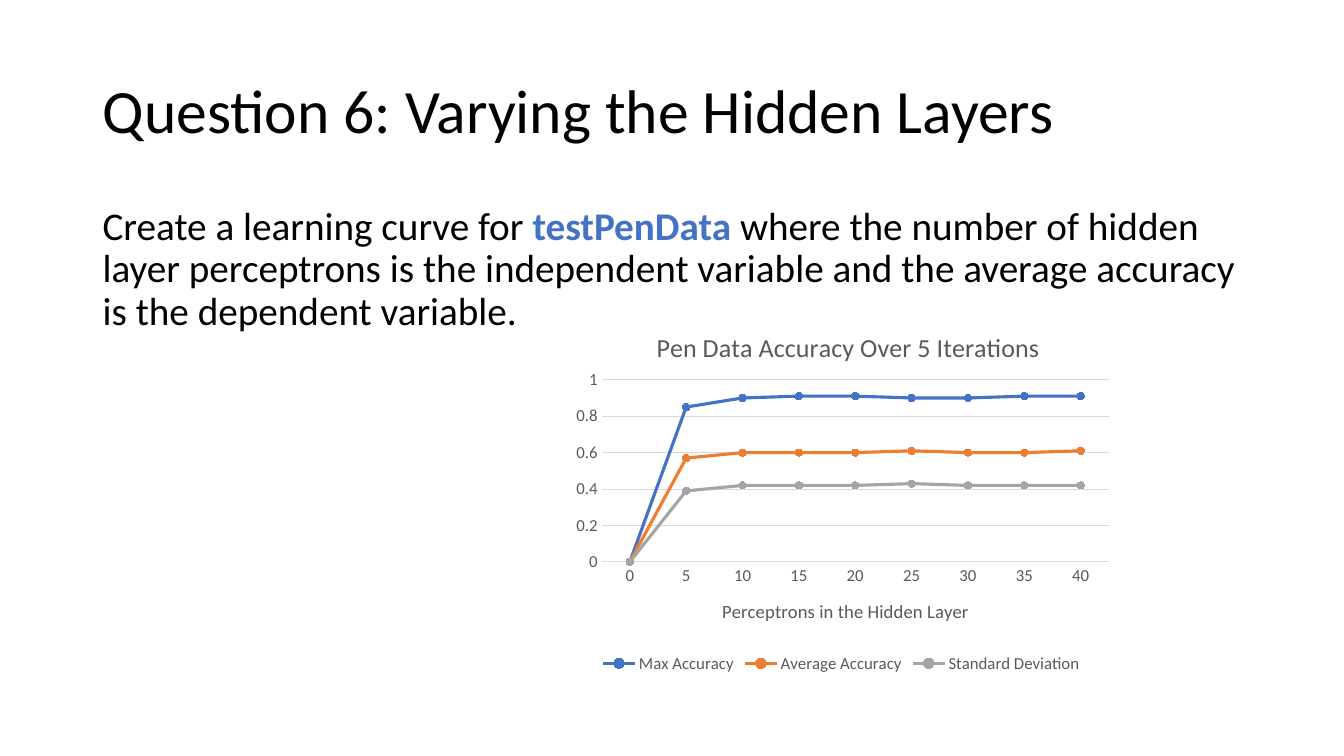
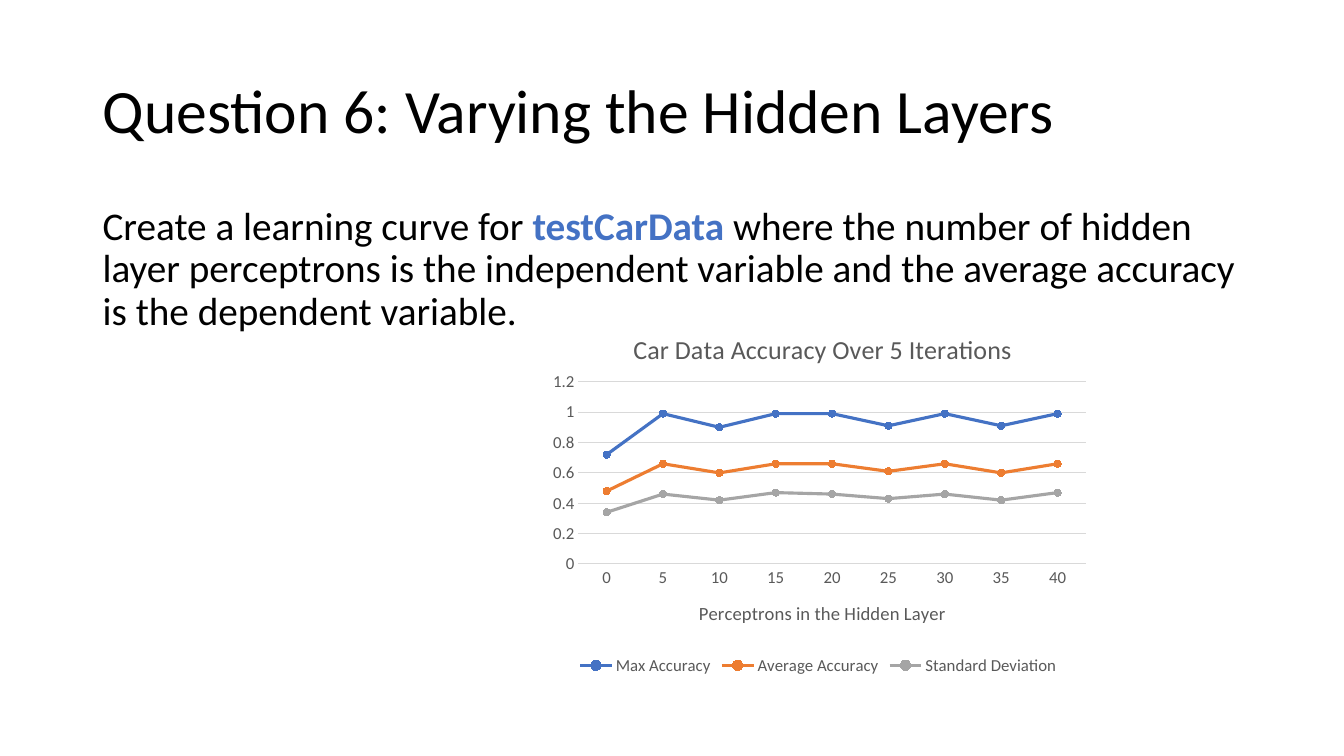
from lxml.etree import SubElement
from pptx import Presentation
from pptx.chart.data import CategoryChartData
from pptx.dml.color import RGBColor
from pptx.enum.chart import XL_CHART_TYPE, XL_LEGEND_POSITION, XL_MARKER_STYLE, XL_TICK_MARK
from pptx.enum.text import MSO_ANCHOR, MSO_AUTO_SIZE, PP_ALIGN
from pptx.oxml import parse_xml
from pptx.oxml.ns import nsdecls, qn
from pptx.util import Inches, Pt

BLACK = RGBColor(0x00, 0x00, 0x00)
BLUE = RGBColor(0x44, 0x72, 0xC4)
ORANGE = RGBColor(0xED, 0x7D, 0x31)
GRAY = RGBColor(0xA5, 0xA5, 0xA5)
CHART_TEXT = RGBColor(0x59, 0x59, 0x59)
GRID = RGBColor(0xD9, 0xD9, 0xD9)
FONT = "Calibri"

PERCEPTRONS = [str(count) for count in range(0, 41, 5)]
SERIES_COLORS = {"Max Accuracy": BLUE, "Average Accuracy": ORANGE, "Standard Deviation": GRAY}

QUESTIONS = [
    {
        "data_set": "Pen",
        "position": (5.58, 3.03),
        "maximum": 1,
        "values": [
            [0, 0.85, 0.9, 0.91, 0.91, 0.9, 0.9, 0.91, 0.91],
            [0, 0.57, 0.6, 0.6, 0.6, 0.61, 0.6, 0.6, 0.61],
            [0, 0.39, 0.42, 0.42, 0.42, 0.43, 0.42, 0.42, 0.42],
        ],
    },
    {
        "data_set": "Car",
        "position": (5.35, 3.05),
        "maximum": 1.2,
        "values": [
            [0.72, 0.99, 0.9, 0.99, 0.99, 0.91, 0.99, 0.91, 0.99],
            [0.48, 0.66, 0.6, 0.66, 0.66, 0.61, 0.66, 0.6, 0.66],
            [0.34, 0.46, 0.42, 0.47, 0.46, 0.43, 0.46, 0.42, 0.47],
        ],
    },
]


def set_layout(element, index, **values):
    """Place a chart part by fractions of the chart; index is its layout's place among the children."""
    for old_layout in element.findall(qn("c:layout")):
        element.remove(old_layout)
    layout = parse_xml(f"<c:layout {nsdecls('c')}><c:manualLayout/></c:layout>")
    for name, value in values.items():
        SubElement(layout[0], qn(f"c:{name}"), val=str(value))
    element.insert(index, layout)


class Deck:
    """Holds the shared style and the current slide."""

    def __init__(self):
        self.presentation = Presentation()
        self.presentation.slide_width = Inches(13.33)
        self.presentation.slide_height = Inches(7.5)
        self.slide = None

    def style_font(self, font, size, color=BLACK, bold=False):
        for name, value in {"name": FONT, "size": Pt(size), "bold": bold}.items():
            setattr(font, name, value)
        font.color.rgb = color

    def format_text(self, shape, top, anchor, space_before):
        box = {"left": 0.92, "top": top, "width": 11.5, "height": 1.45}
        for name, value in box.items():
            setattr(shape, name, Inches(value))
        frame = {"word_wrap": True, "auto_size": MSO_AUTO_SIZE.NONE, "vertical_anchor": anchor}
        for name, value in frame.items():
            setattr(shape.text_frame, name, value)
        paragraph = shape.text_frame.paragraphs[0]
        spacing = {"alignment": PP_ALIGN.LEFT, "line_spacing": 0.9, "space_before": Pt(space_before)}
        for name, value in spacing.items():
            setattr(paragraph, name, value)
        return paragraph

    def add_slide(self, title):
        self.slide = self.presentation.slides.add_slide(self.presentation.slide_layouts[5])
        paragraph = self.format_text(self.slide.shapes.title, 0.4, MSO_ANCHOR.MIDDLE, 0)
        run = paragraph.add_run()
        run.text = title
        self.style_font(run.font, 44)

    def add_body(self, pieces):
        """Add one paragraph from (text, color, bold) pieces."""
        shape = self.slide.shapes.add_textbox(0, 0, 0, 0)
        paragraph = self.format_text(shape, 2, MSO_ANCHOR.TOP, 10)
        for text, color, bold in pieces:
            run = paragraph.add_run()
            run.text = text
            self.style_font(run.font, 28, color, bold)

    def add_chart_title(self, title, text, size, x, y):
        run = title.text_frame.paragraphs[0].add_run()
        run.text = text
        self.style_font(run.font, size, CHART_TEXT)
        set_layout(title._element, 1, xMode="edge", yMode="edge", x=x, y=y)

    def add_line_chart(self, title, position, maximum, rows):
        data = CategoryChartData()
        data.categories = PERCEPTRONS
        for name, values in zip(SERIES_COLORS, rows):
            data.add_series(name, values)
        left, top = position
        chart = self.slide.shapes.add_chart(
            XL_CHART_TYPE.LINE_MARKERS, Inches(left), Inches(top), Inches(5.53), Inches(3.69), data
        ).chart
        self.style_font(chart.font, 12, CHART_TEXT)
        chart.has_title = True
        self.add_chart_title(chart.chart_title, title, 18.6, 0.16, 0.05)
        self.format_axes(chart, maximum)
        self.format_series(chart.plots[0])
        chart.has_legend = True
        chart.legend.position = XL_LEGEND_POSITION.BOTTOM
        chart.legend.include_in_layout = False
        self.style_font(chart.legend.font, 12, CHART_TEXT)
        set_layout(
            chart.element.xpath("c:chart/c:plotArea")[0], 0,
            layoutTarget="inner", xMode="edge", yMode="edge", x=0.07, y=0.2, w=0.91, h=0.49,
        )

    def format_axes(self, chart, maximum):
        category_axis, value_axis = chart.category_axis, chart.value_axis
        for axis in (category_axis, value_axis):
            axis.major_tick_mark = axis.minor_tick_mark = XL_TICK_MARK.NONE
            self.style_font(axis.tick_labels.font, 12, CHART_TEXT)
        scale = {"minimum_scale": 0, "maximum_scale": maximum, "major_unit": 0.2, "has_major_gridlines": True}
        for name, value in scale.items():
            setattr(value_axis, name, value)
        value_axis.format.line.fill.background()
        for line in (category_axis.format.line, value_axis.major_gridlines.format.line):
            line.color.rgb = GRID
            line.width = Pt(0.75)
        category_axis.has_title = True
        self.add_chart_title(category_axis.axis_title, "Perceptrons in the Hidden Layer", 13.3, 0.28, 0.78)

    def format_series(self, plot):
        plot.vary_by_categories = False
        for series, color in zip(plot.series, SERIES_COLORS.values()):
            series.smooth = False
            series.format.line.color.rgb = color
            series.format.line.width = Pt(2.25)
            marker = series.marker
            marker.style = XL_MARKER_STYLE.CIRCLE
            marker.size = 5
            marker.format.fill.solid()
            marker.format.fill.fore_color.rgb = color
            marker.format.line.color.rgb = color


def main():
    deck = Deck()
    for question in QUESTIONS:
        data_set = question["data_set"]
        deck.add_slide("Question 6: Varying the Hidden Layers")
        deck.add_body([
            ("Create a learning curve for ", BLACK, False),
            (f"test{data_set}Data ", BLUE, True),
            ("where the number of hidden layer perceptrons is the independent variable "
             "and the average accuracy is the dependent variable.", BLACK, False),
        ])
        deck.add_line_chart(
            f"{data_set} Data Accuracy Over 5 Iterations",
            question["position"], question["maximum"], question["values"],
        )
    deck.presentation.save("out.pptx")


if __name__ == "__main__":
    main()
